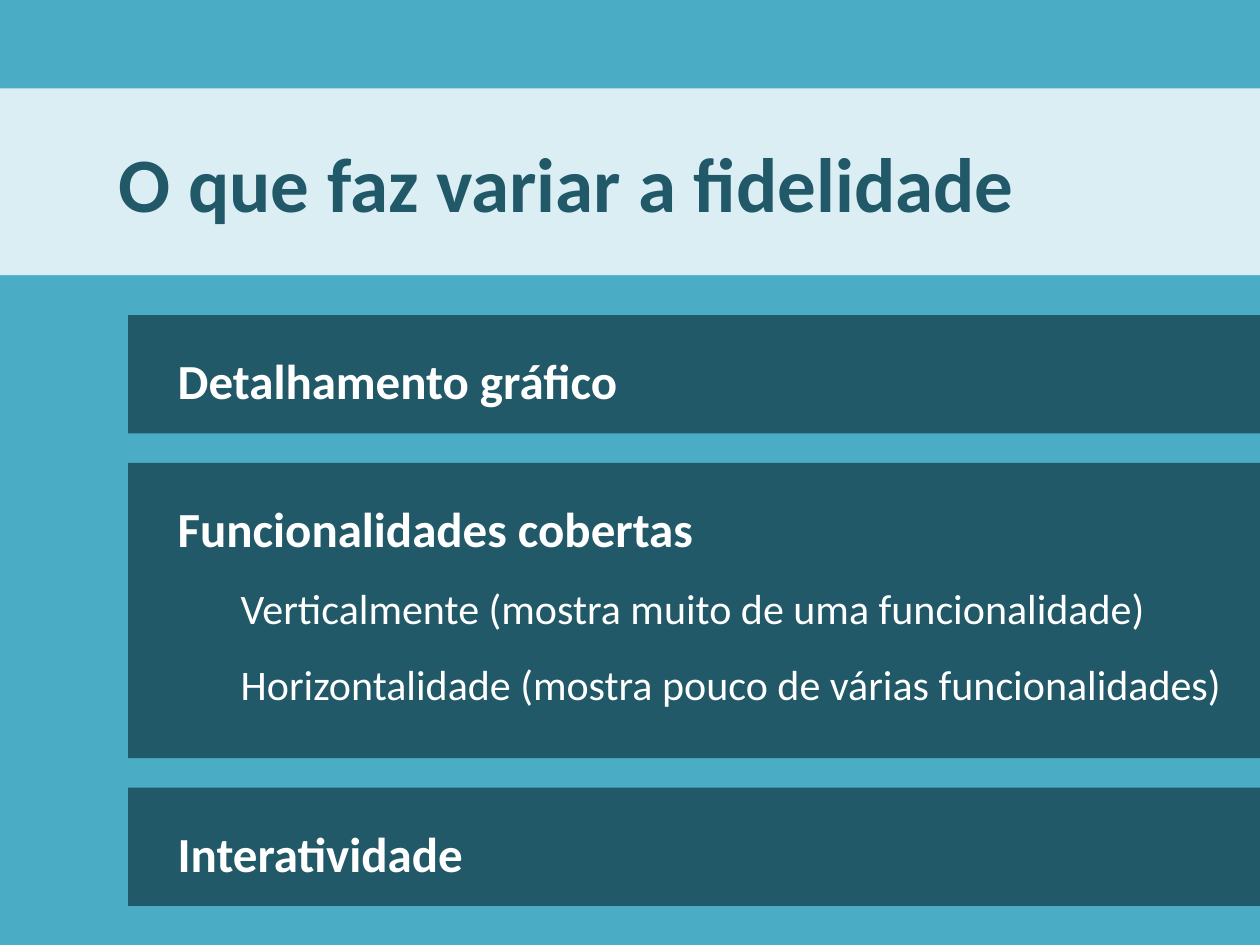
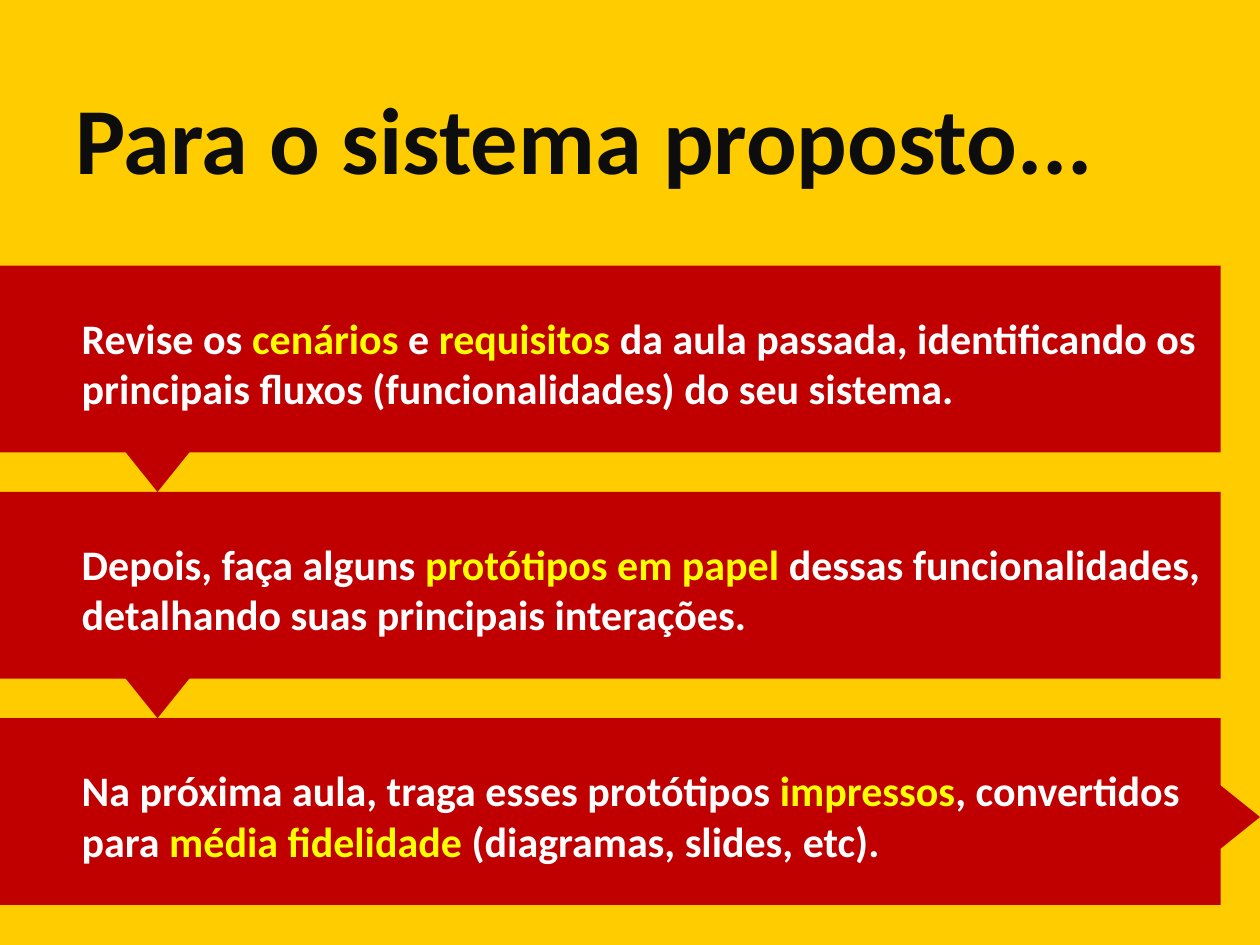
"""Builds two slides: what changes fidelity, and the tasks for the proposed system."""
from dataclasses import dataclass

from pptx import Presentation
from pptx.dml.color import RGBColor
from pptx.enum.shapes import MSO_SHAPE
from pptx.enum.text import MSO_ANCHOR, PP_ALIGN
from pptx.util import Pt

RECTANGLE = MSO_SHAPE.RECTANGLE
TRIANGLE = MSO_SHAPE.ISOSCELES_TRIANGLE
TOP = MSO_ANCHOR.TOP
MIDDLE = MSO_ANCHOR.MIDDLE
LEFT = PP_ALIGN.LEFT

FONT = "Calibri"
PAGE_WIDTH, PAGE_HEIGHT = 720, 540
SKY, ICE, PETROL = "4BACC6", "DBEEF4", "215968"
GOLD, RED, YELLOW, INK, WHITE = "FFCC00", "C00000", "FFFF00", "0D0D0D", "FFFFFF"

PANEL_LEFT, PANEL_TOP, PANEL_GAP = 73.2, 180, 16.9
PANEL_INSET, DETAIL_INDENT = 28.4, 36

STEP_TOP, STEP_PITCH = 151.8, 129.3
STEP_WIDTH, STEP_HEIGHT = 697.5, 106.7
STEP_TEXT_LEFT, STEP_TEXT_OFFSET, STEP_TEXT_HEIGHT = 39.6, 23, 65.5
ARROW_BASE, ARROW_HEIGHT, ARROW_CENTER = 45.4, 28.3, 90


@dataclass(frozen=True)
class Area:
    """A rectangle on the page, in points."""
    left: float
    top: float
    width: float
    height: float


@dataclass(frozen=True)
class Panel:
    """A heading with optional detail lines."""
    heading: str
    height: float
    details: tuple[str, ...] = ()


@dataclass(frozen=True)
class Span:
    """A piece of text, highlighted or plain."""
    text: str
    highlighted: bool = False


@dataclass(frozen=True)
class Step:
    """One task, with the width of its text box."""
    text_width: float
    spans: tuple[Span, ...]


PANELS = (
    Panel("Detalhamento gráfico", 67.6),
    Panel("Funcionalidades cobertas", 168.7, (
        "Verticalmente (mostra muito de uma funcionalidade)",
        "Horizontalidade (mostra pouco de várias funcionalidades)",
    )),
    Panel("Interatividade", 67.6),
)

STEPS = (
    Step(663.8, (
        Span("Revise os "),
        Span("cenários", True),
        Span(" e "),
        Span("requisitos ", True),
        Span("da aula passada, identificando os principais fluxos "
             "(funcionalidades) do seu sistema."),
    )),
    Step(663.8, (
        Span("Depois, faça alguns "),
        Span("protótipos em papel ", True),
        Span("dessas funcionalidades, detalhando suas principais interações."),
    )),
    Step(646.6, (
        Span("Na próxima aula, traga esses protótipos "),
        Span("impressos", True),
        Span(", convertidos para "),
        Span("média fidelidade ", True),
        Span("(diagramas, slides, etc)."),
    )),
)


def color(value: str) -> RGBColor:
    """Turn a hex string into a colour."""
    return RGBColor.from_string(value)


def add_page(deck, background: str):
    """Add a blank page with a plain background."""
    page = deck.slides.add_slide(deck.slide_layouts[6])
    page.background.fill.solid()
    page.background.fill.fore_color.rgb = color(background)
    return page


def add_block(page, kind, area: Area, fill: str, rotation: float = 0):
    """Add a filled shape without outline or shadow."""
    block = page.shapes.add_shape(
        kind, Pt(area.left), Pt(area.top), Pt(area.width), Pt(area.height))
    block.fill.solid()
    block.fill.fore_color.rgb = color(fill)
    block.line.fill.background()
    block.shadow.inherit = False
    block.rotation = rotation
    return block


def add_text_box(page, area: Area):
    """Add an empty text box."""
    return page.shapes.add_textbox(
        Pt(area.left), Pt(area.top), Pt(area.width), Pt(area.height))


def set_frame(box, anchor, inset: float = 7.2):
    """Prepare the text frame of a box and return it."""
    frame = box.text_frame
    frame.word_wrap = True
    frame.vertical_anchor = anchor
    frame.margin_left = Pt(inset)
    return frame


def style_run(run, size: float, ink: str, bold: bool = True) -> None:
    """Give a run its font, size, weight and colour."""
    run.font.name = FONT
    run.font.size = Pt(size)
    run.font.bold = bold
    run.font.color.rgb = color(ink)


def write_title(box, text: str, size: float, ink: str, inset: float = 7.2) -> None:
    """Write a bold title, vertically centred in its box."""
    frame = set_frame(box, MIDDLE, inset)
    frame.text = text
    para = frame.paragraphs[0]
    para.alignment = LEFT
    style_run(para.runs[0], size, ink)


def draw_panel(page, panel: Panel, top: float) -> None:
    """Draw a panel that runs to the right edge of the page."""
    area = Area(PANEL_LEFT, top, PAGE_WIDTH - PANEL_LEFT, panel.height)
    frame = set_frame(add_block(page, RECTANGLE, area, PETROL), TOP, PANEL_INSET)
    frame.text = "\n".join((panel.heading, *panel.details))
    for index, para in enumerate(frame.paragraphs):
        is_heading = index == 0
        para.alignment = LEFT
        para.line_spacing = 1.5
        if not is_heading:
            para.level = 1
            para._p.get_or_add_pPr().set("marL", str(Pt(DETAIL_INDENT)))
        style_run(para.runs[0], 28 if is_heading else 24, WHITE, is_heading)


def draw_arrow(page, center_x: float, center_y: float, rotation: float) -> None:
    """Draw a triangle turned around its centre."""
    area = Area(center_x - ARROW_BASE / 2, center_y - ARROW_HEIGHT / 2,
                ARROW_BASE, ARROW_HEIGHT)
    add_block(page, TRIANGLE, area, RED, rotation)


def draw_step(page, step: Step, top: float) -> None:
    """Draw a band with its task text."""
    add_block(page, RECTANGLE, Area(0, top, STEP_WIDTH, STEP_HEIGHT), RED)
    box = add_text_box(page, Area(STEP_TEXT_LEFT, top + STEP_TEXT_OFFSET,
                                  step.text_width, STEP_TEXT_HEIGHT))
    para = set_frame(box, TOP).paragraphs[0]
    for span in step.spans:
        run = para.add_run()
        run.text = span.text
        style_run(run, 24, YELLOW if span.highlighted else WHITE)


def build_fidelity_page(deck) -> None:
    """Build the page on what changes fidelity."""
    page = add_page(deck, SKY)
    band = add_block(page, RECTANGLE, Area(0, 50.6, PAGE_WIDTH, 106.7), ICE)
    write_title(band, "O que faz variar a fidelidade", 44, PETROL, 68)
    top = PANEL_TOP
    for panel in PANELS:
        draw_panel(page, panel, top)
        top += panel.height + PANEL_GAP


def build_steps_page(deck) -> None:
    """Build the page with the tasks and the arrows between them."""
    page = add_page(deck, GOLD)
    title = add_text_box(page, Area(36, 49.7, 639.4, 56.9))
    write_title(title, "Para o sistema proposto...", 54, INK)
    for index, step in enumerate(STEPS):
        top = STEP_TOP + index * STEP_PITCH
        draw_step(page, step, top)
        if index < len(STEPS) - 1:
            draw_arrow(page, ARROW_CENTER, top + STEP_PITCH - ARROW_HEIGHT / 2, 180)
        else:
            draw_arrow(page, PAGE_WIDTH - ARROW_HEIGHT / 2, top + 56.5, 90)


def main() -> None:
    """Build and save the deck."""
    deck = Presentation()
    deck.slide_width, deck.slide_height = Pt(PAGE_WIDTH), Pt(PAGE_HEIGHT)
    build_fidelity_page(deck)
    build_steps_page(deck)
    deck.save("out.pptx")


if __name__ == "__main__":
    main()
